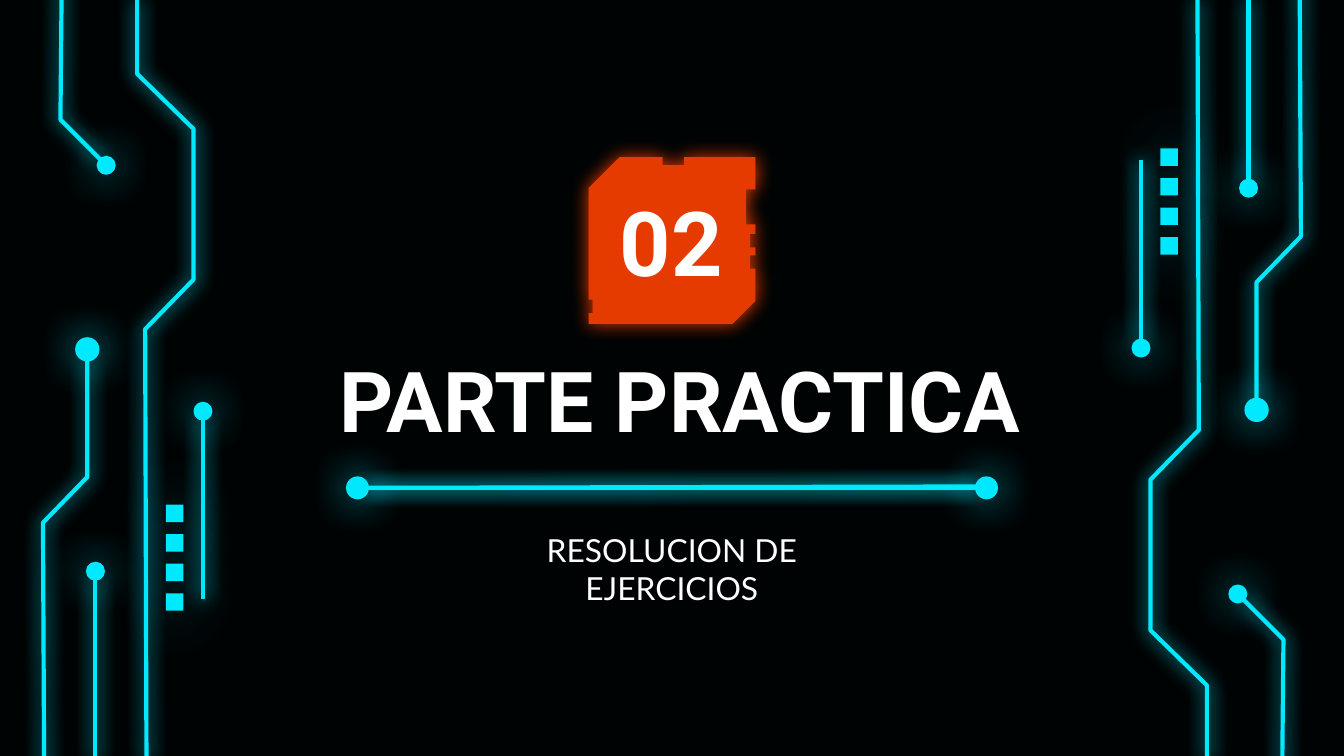
from dataclasses import dataclass

from lxml.etree import SubElement
from pptx import Presentation
from pptx.dml.color import RGBColor
from pptx.enum.shapes import MSO_CONNECTOR, MSO_SHAPE
from pptx.enum.text import MSO_ANCHOR, MSO_AUTO_SIZE, PP_ALIGN
from pptx.oxml.ns import qn
from pptx.util import Inches, Pt

BLACK = RGBColor(0x00, 0x03, 0x04)
CYAN = RGBColor(0x00, 0xE9, 0xFF)
ORANGE = RGBColor(0xE6, 0x3B, 0x00)
WHITE = RGBColor(0xFF, 0xFF, 0xFF)

WIDTH, HEIGHT = 10, 5.625
TURN = 5.65


@dataclass(frozen=True)
class Wire:
    points: tuple

    def flip(self):
        return Wire(tuple((WIDTH - x, TURN - y) for x, y in self.points))


@dataclass(frozen=True)
class Node:
    x: float
    y: float
    size: float
    kind: MSO_SHAPE = MSO_SHAPE.OVAL

    def flip(self):
        return Node(WIDTH - self.x, TURN - self.y, self.size, self.kind)


@dataclass(frozen=True)
class Label:
    text: str
    box: tuple
    font: str
    size: int
    bold: bool
    anchor: MSO_ANCHOR


WIRES = (
    Wire(((1.09, 5.66), (1.08, 2.45), (1.44, 2.08), (1.44, 0.96), (1.02, 0.55), (1.02, 0))),
    Wire(((0.71, 5.66), (0.71, 4.29))),
    Wire(((0.46, -0.17), (0.45, 0.89), (0.75, 1.19))),
    Wire(((0.33, 5.96), (0.32, 3.89), (0.65, 3.55), (0.65, 2.66))),
    Wire(((1.51, 4.46), (1.51, 3.1))),
)
DOTS = (
    Node(0.65, 2.6, 0.16),
    Node(0.79, 1.23, 0.12),
    Node(1.51, 3.06, 0.12),
    Node(0.71, 4.25, 0.12),
)
PADS = tuple(Node(1.3, 3.82 + 0.22 * i, 0.13, MSO_SHAPE.RECTANGLE) for i in range(4))
ENDS = (Node(2.66, 3.63, 0.15), Node(7.34, 3.63, 0.15))
BADGE = (
    (4.61, 1.17), (4.38, 1.4), (4.38, 2.23), (4.41, 2.23), (4.41, 2.33),
    (4.38, 2.33), (4.38, 2.41), (5.45, 2.41), (5.62, 2.24), (5.62, 2),
    (5.58, 2), (5.58, 1.9), (5.62, 1.9), (5.62, 1.84), (5.58, 1.84),
    (5.58, 1.74), (5.62, 1.74), (5.62, 1.67), (5.55, 1.67), (5.55, 1.41),
    (5.62, 1.41), (5.62, 1.17), (5.09, 1.17), (5.09, 1.23), (4.93, 1.23),
    (4.93, 1.17),
)
TITLE = Label("PARTE PRACTICA", (2.41, 2.6, 5.3, 0.74), "Roboto", 45, True, MSO_ANCHOR.MIDDLE)
LABELS = (
    Label("RESOLUCION DE EJERCICIOS", (3.43, 3.85, 3.14, 0.76), "Lato", 17, False, MSO_ANCHOR.TOP),
    Label("02", (2.41, 1.34, 5.17, 0.9), "Roboto", 48, True, MSO_ANCHOR.MIDDLE),
)


def add_glow(shape, color: RGBColor, blur: float, shift: float = 0, alpha: int = 100) -> None:
    effects = SubElement(shape.element.spPr, qn("a:effectLst"))
    shadow = SubElement(effects, qn("a:outerShdw"), blurRad=str(Pt(blur)),
                        dist=str(Pt(shift)), dir="0", algn="bl", rotWithShape="0")
    tint = SubElement(shadow, qn("a:srgbClr"), val=str(color))
    SubElement(tint, qn("a:alpha"), val=str(alpha * 1000))


def set_line(shape, width: float) -> None:
    shape.line.color.rgb = CYAN
    shape.line.width = Pt(width)


def set_fill(shape, color: RGBColor) -> None:
    shape.fill.solid()
    shape.fill.fore_color.rgb = color


def add_path(slide, points: tuple, close: bool):
    start, *rest = [(Inches(x), Inches(y)) for x, y in points]
    pen = slide.shapes.build_freeform(*start)
    pen.add_line_segments(rest, close=close)
    return pen.convert_to_shape()


def add_wire(slide, wire: Wire) -> None:
    shape = add_path(slide, wire.points, False)
    shape.fill.background()
    set_line(shape, 2.25)
    add_glow(shape, CYAN, 10.1)


def add_node(slide, node: Node) -> None:
    half = node.size / 2
    box = (node.x - half, node.y - half, node.size, node.size)
    shape = slide.shapes.add_shape(node.kind, *map(Inches, box))
    set_fill(shape, CYAN)
    if node.kind == MSO_SHAPE.OVAL:
        set_line(shape, 1.5)
        add_glow(shape, CYAN, 22.5)
    else:
        shape.line.fill.background()
        add_glow(shape, CYAN, 36, 1.5, 70)


def add_badge(slide) -> None:
    shape = add_path(slide, BADGE, True)
    set_fill(shape, ORANGE)
    shape.line.fill.background()
    add_glow(shape, ORANGE, 10.1)


def add_rule(slide, end: float) -> None:
    ends = map(Inches, (2.73, 3.63, 7.27, end))
    rule = slide.shapes.add_connector(MSO_CONNECTOR.STRAIGHT, *ends)
    set_line(rule, 2.25)
    add_glow(rule, CYAN, 10.1)


def set_label(shape, label: Label) -> None:
    shape.left, shape.top, shape.width, shape.height = map(Inches, label.box)
    frame = shape.text_frame
    frame.text = label.text
    frame.word_wrap = True
    frame.auto_size = MSO_AUTO_SIZE.NONE
    frame.vertical_anchor = label.anchor
    frame.margin_left = frame.margin_right = Inches(0.1)
    frame.margin_top = frame.margin_bottom = Inches(0.1)
    line = frame.paragraphs[0]
    line.alignment = PP_ALIGN.CENTER
    font = line.runs[0].font
    font.name = label.font
    font.size = Pt(label.size)
    font.bold = label.bold
    font.color.rgb = WHITE


def main() -> None:
    deck = Presentation()
    deck.slide_width, deck.slide_height = Inches(WIDTH), Inches(HEIGHT)
    slide = deck.slides.add_slide(deck.slide_layouts[5])
    slide.background.fill.solid()
    slide.background.fill.fore_color.rgb = BLACK

    for wire in WIRES:
        add_wire(slide, wire)
        add_wire(slide, wire.flip())
    for node in DOTS + PADS:
        add_node(slide, node)
        add_node(slide, node.flip())

    add_badge(slide)
    set_label(slide.shapes.title, TITLE)
    for label in LABELS:
        set_label(slide.shapes.add_textbox(*map(Inches, label.box)), label)

    add_rule(slide, 3.62)
    for node in ENDS:
        add_node(slide, node)
    add_rule(slide, 3.63)
    deck.save("out.pptx")


if __name__ == "__main__":
    main()
